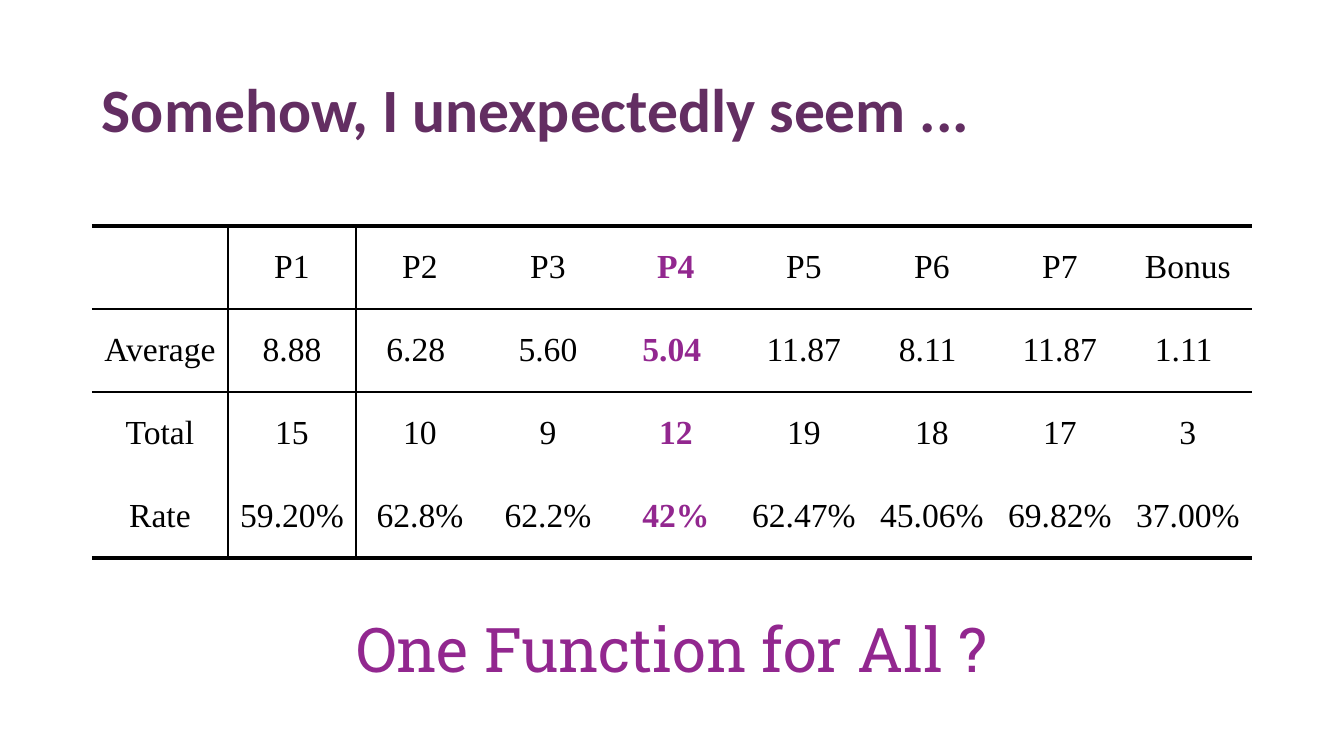
from lxml import etree
from pptx import Presentation
from pptx.dml.color import RGBColor
from pptx.enum.text import MSO_ANCHOR, PP_ALIGN
from pptx.oxml.ns import qn
from pptx.util import Emu, Pt

MIDDLE = MSO_ANCHOR.MIDDLE
LEFT = PP_ALIGN.LEFT
CENTER = PP_ALIGN.CENTER
SCALE = 914400 / 100.8
BLACK = "000000"
PURPLE = "92278F"
PLUM = "632E62"
PLAIN = "{2D5ABB26-0587-4C30-8999-92F81FD0307C}"
KEY_COL = 4
RULES = [3, 1.5, 1.5, 0, 3]
ROWS = [
    ["", "P1", "P2", "P3", "P4", "P5", "P6", "P7", "Bonus"],
    ["Average", "8.88", "6.28 ", "5.60", "5.04 ", "11.87", "8.11 ", "11.87", "1.11 "],
    ["Total", "15", "10", "9", "12", "19", "18", "17", "3"],
    ["Rate", "59.20%", "62.8%", "62.2%", "42%", "62.47%", "45.06%", "69.82%", "37.00%"],
]


def px(n):
    return Emu(round(n * SCALE))


def color(code):
    return RGBColor.from_string(code)


def write(frame, text, size=24, face="Times New Roman", ink=BLACK,
          bold=False, align=CENTER, space=None):
    para = frame.paragraphs[0]
    para.alignment = align
    para.line_spacing = space
    run = para.add_run()
    run.text = text
    font = run.font
    font.size = Pt(size)
    font.name = face
    font.bold = bold
    font.color.rgb = color(ink)


def label(slide, box, text, **style):
    frame = slide.shapes.add_textbox(*map(px, box)).text_frame
    frame.word_wrap = True
    frame.vertical_anchor = MIDDLE
    write(frame, text, space=0.9, **style)


def border(cell, side, width):
    props = cell._tc.get_or_add_tcPr()
    line = etree.SubElement(props, qn("a:ln" + side), w=str(Pt(width)))
    if width:
        fill = etree.SubElement(line, qn("a:solidFill"))
        etree.SubElement(fill, qn("a:srgbClr"), val=BLACK)
    else:
        etree.SubElement(line, qn("a:noFill"))


def grid(slide, left, top, first, wide, high):
    count = len(ROWS[0])
    total = first + wide * (count - 1)
    frame = slide.shapes.add_table(len(ROWS), count, px(left), px(top),
                                   px(total), px(high * len(ROWS)))
    table = frame.table
    table.first_row = False
    table.horz_banding = False
    table._tbl.tblPr.find(qn("a:tableStyleId")).text = PLAIN
    for c, col in enumerate(table.columns):
        col.width = px(wide if c else first)
    for r, row in enumerate(ROWS):
        table.rows[r].height = px(high)
        for c, text in enumerate(row):
            cell = table.cell(r, c)
            border(cell, "L", 1 if c in (1, 2) else 0)
            border(cell, "R", 1 if c in (0, 1) else 0)
            border(cell, "T", RULES[r])
            border(cell, "B", RULES[r + 1])
            cell.fill.background()
            cell.vertical_anchor = MIDDLE
            key = c == KEY_COL
            if text:
                write(cell.text_frame, text, bold=key, ink=PURPLE if key else BLACK)


def main():
    deck = Presentation()
    deck.slide_width = px(1344)
    deck.slide_height = px(756)
    slide = deck.slides.add_slide(deck.slide_layouts[6])
    label(slide, (92, 40, 1159, 146), "Somehow, I unexpectedly seem ...",
          size=44, face="Calibri", ink=PLUM, bold=True, align=LEFT)
    grid(slide, left=92, top=226, first=136, wide=128, high=83)
    label(slide, (0, 611, 1344, 84), "One Function for All ?",
          size=44, face="Roboto Slab", ink=PURPLE)
    deck.save("out.pptx")


if __name__ == "__main__":
    main()
